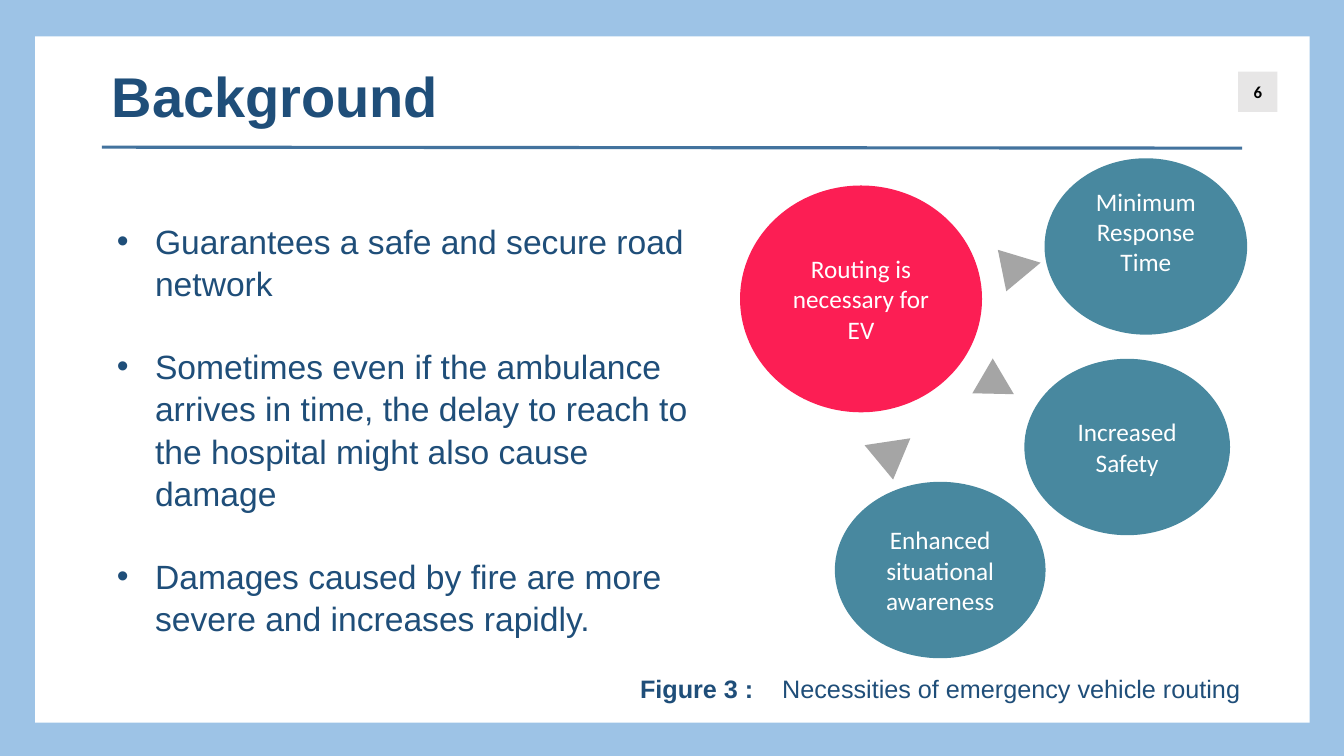
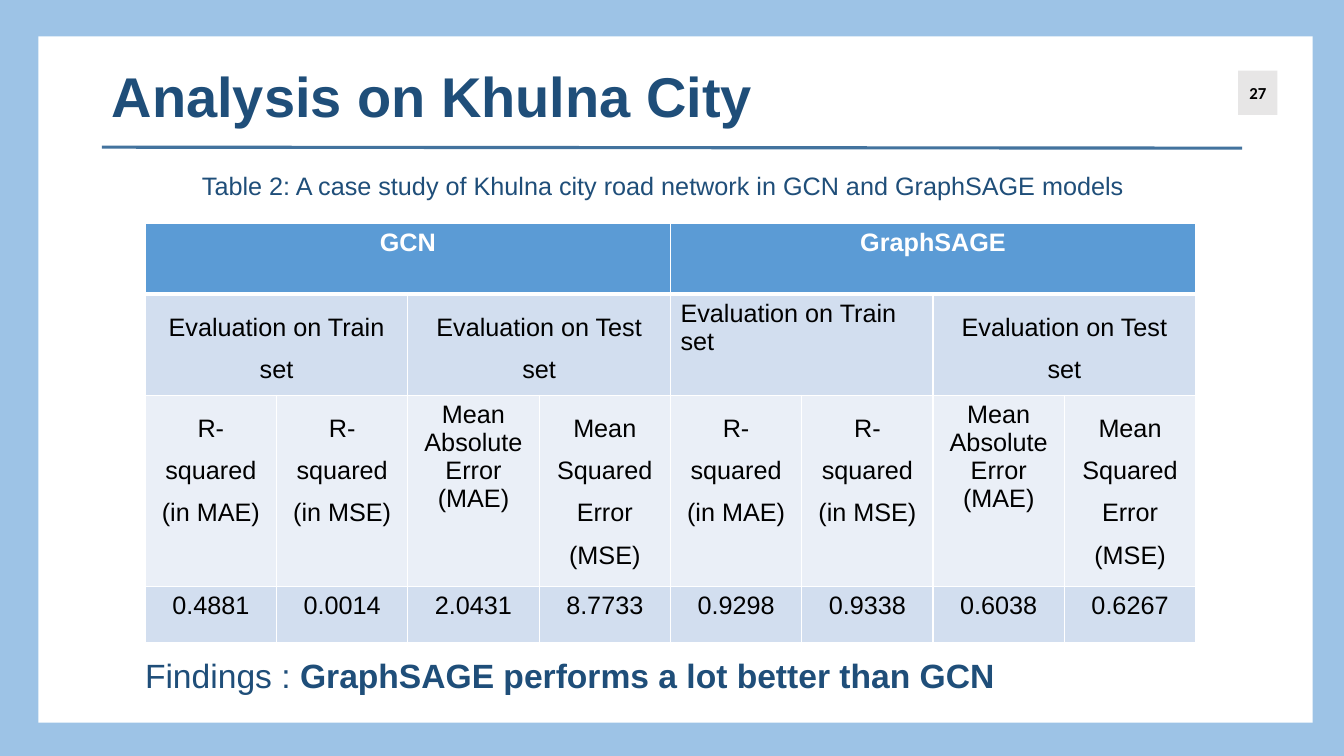
"""Build two slides on emergency vehicle routing: background and city analysis."""
import pptx
import pptx.chart.data
import pptx.dml.color
import pptx.enum.shapes
import pptx.enum.text
import pptx.oxml
import pptx.oxml.ns
import pptx.util
from lxml import etree

Inches = pptx.util.Inches
Pt = pptx.util.Pt
RGBColor = pptx.dml.color.RGBColor
Shape = pptx.enum.shapes.MSO_SHAPE
Align = pptx.enum.text.PP_ALIGN
Anchor = pptx.enum.text.MSO_ANCHOR
qn = pptx.oxml.ns.qn

SKY = RGBColor(0x9D, 0xC3, 0xE6)
WHITE = RGBColor(0xFF, 0xFF, 0xFF)
BLACK = RGBColor(0, 0, 0)
NAVY = RGBColor(0x1F, 0x4E, 0x79)
RULE = RGBColor(0x43, 0x73, 0x9E)
BADGE = RGBColor(0xE7, 0xE6, 0xE6)
GREY = RGBColor(0xA5, 0xA5, 0xA5)
TEAL = RGBColor(0x48, 0x88, 0x9F)
PINK = RGBColor(0xFC, 0x1E, 0x54)
HEADER = RGBColor(0x5B, 0x9B, 0xD5)
BAND_DARK = RGBColor(0xD2, 0xDE, 0xEF)
BAND_LIGHT = RGBColor(0xEA, 0xEF, 0xF7)


def write(para, text, size, color=NAVY, bold=False, font="Arial"):
    """Add one formatted run to a paragraph."""
    span = para.add_run()
    span.text = text
    span.font.name = font
    span.font.size = Pt(size)
    span.font.bold = bold
    span.font.color.rgb = color


def add_box(page, left, top, width, height, shape=None, fill=None):
    """Add a wrapped text box, or a flat filled shape with centred text."""
    frame = [Inches(length) for length in (left, top, width, height)]
    if shape is None:
        box = page.shapes.add_textbox(*frame)
    else:
        box = page.shapes.add_shape(shape, *frame)
        box.shadow.inherit = False
        box.fill.solid()
        box.fill.fore_color.rgb = fill
        box.line.fill.background()
        box.text_frame.vertical_anchor = Anchor.MIDDLE
        box.text_frame.paragraphs[0].alignment = Align.CENTER
    box.text_frame.word_wrap = True
    return box


deck = pptx.Presentation()
deck.slide_width = Inches(13.33)
deck.slide_height = Inches(7.5)
deck.slide_master.background.fill.solid()
deck.slide_master.background.fill.fore_color.rgb = SKY

pages = []
for title, number, panel_left, badge_top, badge_height in [
    ("Background", "6", 0.35, 0.71, 0.4),
    ("Analysis on Khulna City", "27", 0.38, 0.7, 0.44),
]:
    page = deck.slides.add_slide(deck.slide_layouts[6])
    pages.append(page)
    add_box(page, panel_left, 0.36, 12.64, 6.81, Shape.RECTANGLE, WHITE)
    rule = page.shapes.add_connector(
        pptx.enum.shapes.MSO_CONNECTOR.STRAIGHT,
        Inches(1.01), Inches(1.46), Inches(12.32), Inches(1.47))
    rule.line.color.rgb = RULE
    rule.line.width = Pt(2.25)
    etree.SubElement(rule._element.spPr, qn("a:effectLst"))
    heading = add_box(page, 1.01, 0.56, 11, 0.77)
    write(heading.text_frame.paragraphs[0], title, 40, bold=True)
    badge = add_box(page, 12.28, badge_top, 0.39, badge_height, Shape.RECTANGLE, BADGE)
    badge.text_frame.margin_left = badge.text_frame.margin_right = 0
    write(badge.text_frame.paragraphs[0], number, 12, BLACK, True, "Calibri")

background, analysis = pages

points = add_box(background, 1.06, 2.12, 6.05, 4.3).text_frame
for index, text in enumerate([
    "Guarantees a safe and secure road network",
    "Sometimes even if the ambulance arrives in time, the delay to reach to "
    "the hospital might also cause damage",
    "Damages caused by fire are more severe and increases rapidly.",
]):
    para = points.add_paragraph() if index else points.paragraphs[0]
    para.line_spacing = 1.05
    if index:
        para.space_before = Pt(29)
    properties = para._p.get_or_add_pPr()
    properties.set("marL", str(Inches(0.38)))
    properties.set("indent", str(-Inches(0.38)))
    etree.SubElement(properties, qn("a:buFont")).set("typeface", "Arial")
    etree.SubElement(properties, qn("a:buChar")).set("char", "•")
    write(para, text, 24)

for left, top, width, height, angle in [
    (9.92, 2.45, 0.42, 0.39, 78.5),
    (9.7, 3.64, 0.4, 0.36, 120.3),
    (8.6, 4.38, 0.46, 0.38, 171.5),
]:
    pointer = add_box(background, left, top, width, height, Shape.ISOSCELES_TRIANGLE, GREY)
    pointer.rotation = angle

for left, top, width, height, fill, bottom, lines in [
    (10.36, 1.57, 2.01, 1.75, TEAL, 0.35, ["Minimum Response Time"]),
    (10.16, 3.56, 2.04, 1.75, TEAL, 0.05, ["Increased Safety"]),
    (8.28, 4.78, 2.09, 1.75, TEAL, 0.05, ["Enhanced situational awareness"]),
    (7.34, 1.84, 2.4, 2.25, PINK, 0.05, ["Routing is", "necessary for EV"]),
]:
    bubble = add_box(background, left, top, width, height, Shape.OVAL, fill).text_frame
    bubble.margin_bottom = Inches(bottom)
    for index, text in enumerate(lines):
        para = bubble.add_paragraph() if index else bubble.paragraphs[0]
        para.alignment = Align.CENTER
        write(para, text, 18, WHITE, font="Calibri")

caption = add_box(background, 6.25, 6.63, 6.4, 0.4).text_frame.paragraphs[0]
tabs = etree.SubElement(caption._p.get_or_add_pPr(), qn("a:tabLst"))
tab = etree.SubElement(tabs, qn("a:tab"))
tab.set("pos", str(Inches(1.41)))
tab.set("algn", "l")
write(caption, "Figure 3 :\t", 18, bold=True)
write(caption, "Necessities of emergency vehicle routing", 18)

caption = add_box(analysis, 1.28, 1.64, 10.59, 0.4).text_frame.paragraphs[0]
caption.alignment = Align.CENTER
write(caption, "Table 2: A case study of Khulna city road network in GCN and GraphSAGE models", 18)

measures = ["R-squared (in MAE)", "R-squared (in MSE)",
            "Mean Absolute Error (MAE)", "Mean Squared Error (MSE)"]
rows = [
    (0.7, HEADER, 4, ["GCN", "GraphSAGE"]),
    (0.98, BAND_DARK, 2, ["Evaluation on Train set", "Evaluation on Test set"] * 2),
    (1.9, BAND_LIGHT, 1, measures * 2),
    (0.55, BAND_DARK, 1, ["0.4881", "0.0014", "2.0431", "8.7733",
                          "0.9298", "0.9338", "0.6038", "0.6267"]),
]
table = analysis.shapes.add_table(
    len(rows), 8, Inches(1.44), Inches(2.22), Inches(10.42), Inches(4.13)).table
for column in table.columns:
    column.width = Inches(10.42 / 8)

for row, (height, fill, span_width, texts) in enumerate(rows):
    table.rows[row].height = Inches(height)
    for column in range(8):
        cell = table.cell(row, column)
        for side in "LRTB":
            heavy = (row, side) in [(0, "B"), (1, "T")]
            border = etree.SubElement(cell._tc.get_or_add_tcPr(), qn(f"a:ln{side}"))
            border.set("w", str(Pt(3 if heavy else 1)))
            paint = etree.SubElement(border, qn("a:solidFill"))
            etree.SubElement(paint, qn("a:srgbClr")).set("val", str(WHITE))
        cell.fill.solid()
        cell.fill.fore_color.rgb = fill
    for index, text in enumerate(texts):
        first = index * span_width
        cell = table.cell(row, first)
        if span_width > 1:
            cell.merge(table.cell(row, first + span_width - 1))
        para = cell.text_frame.paragraphs[0]
        left_aligned = (row, first) == (1, 4)
        para.alignment = Align.LEFT if left_aligned else Align.CENTER
        if row in (1, 2) and not left_aligned and "Absolute" not in text:
            para.line_spacing = 1.5
        write(para, text, 18, BLACK if row else WHITE, row == 0)

findings = add_box(analysis, 1.34, 6.45, 11, 0.5).text_frame.paragraphs[0]
write(findings, "Findings : ", 24)
write(findings, "GraphSAGE performs a lot better than GCN", 24, bold=True)

deck.save("out.pptx")
